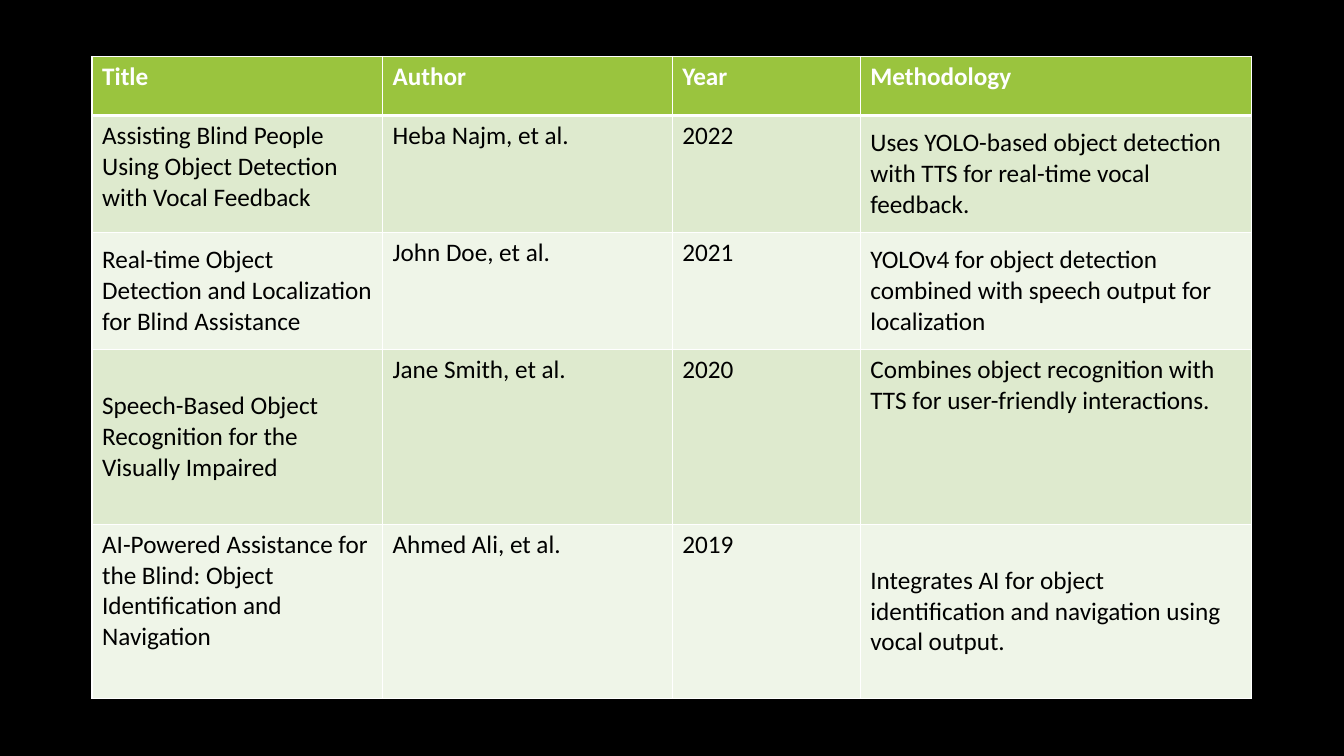
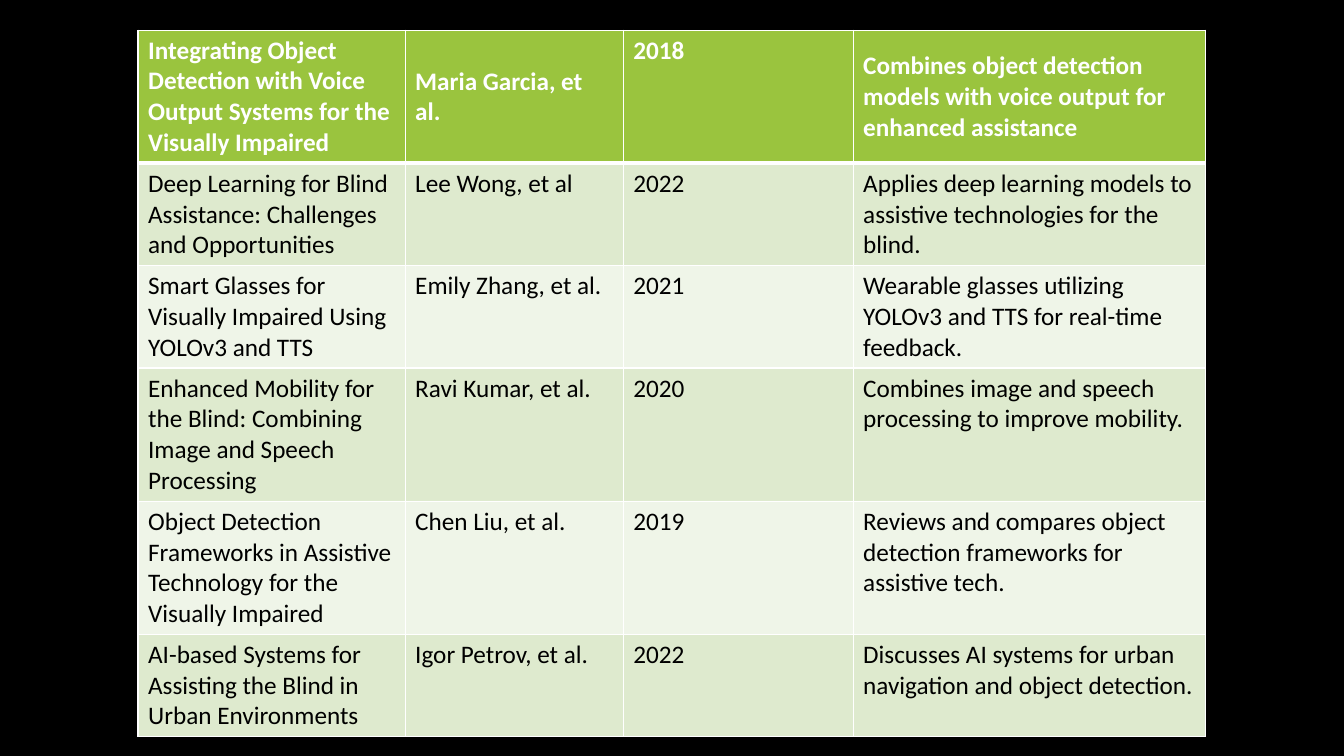
from lxml.etree import SubElement as Sub
from pptx import Presentation
from pptx.dml.color import RGBColor as RGB
from pptx.enum.text import MSO_ANCHOR as Anchor
from pptx.oxml.ns import qn
from pptx.util import Cm, Pt

COLORS = {
    "background": "000000",
    "header": "9AC43E",
    "odd": "DEEACE",
    "even": "EFF5E8",
    "border": "FFFFFF",
    "header_text": "FFFFFF",
    "body_text": "000000",
}


class Deck:
    font, size = "Calibri", Pt(18)
    thin, thick = Pt(1), Pt(3)

    def __init__(self):
        self.prs = Presentation()
        self.prs.slide_width, self.prs.slide_height = Cm(33.87), Cm(19.05)
        self.s = None

    def color(self, name):
        return RGB.from_string(COLORS[name])

    def slide(self):
        self.s = self.prs.slides.add_slide(self.prs.slide_layouts[6])
        fill = self.s.background.fill
        fill.solid()
        fill.fore_color.rgb = self.color("background")

    def borders(self, cell, row):
        tcPr = cell._tc.get_or_add_tcPr()
        top = self.thick if row == 1 else self.thin
        bottom = self.thick if row == 0 else self.thin
        widths = {"lnL": self.thin, "lnR": self.thin, "lnT": top, "lnB": bottom}
        for tag, width in widths.items():
            ln = Sub(tcPr, qn(f"a:{tag}"), w=str(int(width)))
            Sub(Sub(ln, qn("a:solidFill")), qn("a:srgbClr"), val=COLORS["border"])

    def cell(self, cell, text, row, centred):
        self.borders(cell, row)
        cell.fill.solid()
        band = "header" if row == 0 else "odd" if row % 2 else "even"
        cell.fill.fore_color.rgb = self.color(band)
        cell.vertical_anchor = Anchor.MIDDLE if centred else Anchor.TOP
        p = cell.text_frame.paragraphs[0]
        p.text = text
        font = p.runs[0].font
        font.name, font.size, font.bold = self.font, self.size, row == 0
        font.color.rgb = self.color("body_text" if row else "header_text")

    def table(self, left, top, widths, heights, rows, centred):
        tbl = self.s.shapes.add_table(
            len(rows), len(widths), Cm(left), Cm(top), Cm(sum(widths)), Cm(sum(heights))
        ).table
        for col, width in zip(tbl.columns, widths):
            col.width = Cm(width)
        for row, height in zip(tbl.rows, heights):
            row.height = Cm(height)
        for i, texts in enumerate(rows):
            for j, text in enumerate(texts):
                self.cell(tbl.cell(i, j), text, i, (i, j) in centred)


EARLIER_PAPERS = [
    ("Title", "Author", "Year", "Methodology"),
    ("Assisting Blind People Using Object Detection with Vocal Feedback",
     "Heba Najm, et al.", "2022",
     "Uses YOLO-based object detection with TTS for real-time vocal feedback."),
    ("Real-time Object Detection and Localization for Blind Assistance",
     "John Doe, et al.", "2021",
     "YOLOv4 for object detection combined with speech output for localization"),
    ("Speech-Based Object Recognition for the Visually Impaired",
     "Jane Smith, et al.", "2020",
     "Combines object recognition with TTS for user-friendly interactions."),
    ("AI-Powered Assistance for the Blind: Object Identification and Navigation",
     "Ahmed Ali, et al.", "2019",
     "Integrates AI for object identification and navigation using vocal output."),
]

FURTHER_PAPERS = [
    ("Integrating Object Detection with Voice Output Systems for the Visually Impaired",
     "Maria Garcia, et al.", "2018",
     "Combines object detection models with voice output for enhanced assistance"),
    ("Deep Learning for Blind Assistance: Challenges and Opportunities",
     "Lee Wong, et al", "2022",
     "Applies deep learning models to assistive technologies for the blind."),
    ("Smart Glasses for Visually Impaired Using YOLOv3 and TTS",
     "Emily Zhang, et al.", "2021",
     "Wearable glasses utilizing YOLOv3 and TTS for real-time feedback."),
    ("Enhanced Mobility for the Blind: Combining Image and Speech Processing",
     "Ravi Kumar, et al.", "2020",
     "Combines image and speech processing to improve mobility."),
    ("Object Detection Frameworks in Assistive Technology for the Visually Impaired",
     "Chen Liu, et al.", "2019",
     "Reviews and compares object detection frameworks for assistive tech."),
    ("AI-based Systems for Assisting the Blind in Urban Environments",
     "Igor Petrov, et al.", "2022",
     "Discusses AI systems for urban navigation and object detection."),
]


def main():
    deck = Deck()
    deck.slide()
    deck.table(2.32, 1.42, [7.32, 7.3, 4.74, 9.87], [1.49, 2.95, 2.95, 4.4, 4.4],
               EARLIER_PAPERS, {(1, 3), (2, 0), (2, 3), (3, 0), (4, 3)})
    deck.slide()
    three_lines, four_lines = 2.58, 3.35
    deck.table(3.48, 0.76, [6.73, 5.5, 5.79, 8.88],
               [four_lines, three_lines, three_lines, four_lines, four_lines, three_lines],
               FURTHER_PAPERS, {(0, 1), (0, 3), (1, 0), (1, 3), (5, 0)})
    deck.prs.save("out.pptx")


if __name__ == "__main__":
    main()
